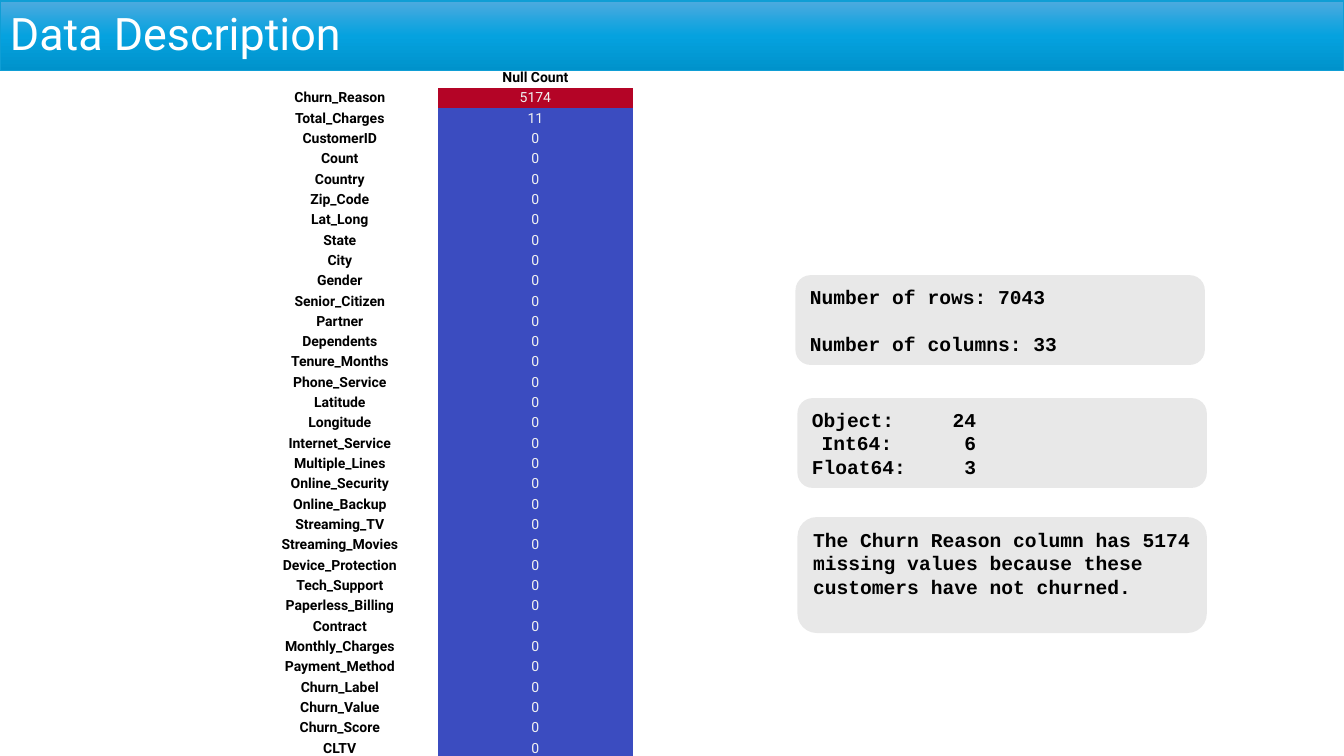
"""Build the data description slide."""
from copy import deepcopy

from pptx import Presentation
from pptx.dml.color import RGBColor
from pptx.enum.shapes import MSO_SHAPE
from pptx.enum.text import MSO_ANCHOR, MSO_AUTO_SIZE, PP_ALIGN
from pptx.oxml.ns import qn
from pptx.util import Inches, Pt
from lxml import etree

RECT = MSO_SHAPE.RECTANGLE
ROUND = MSO_SHAPE.FLOWCHART_ALTERNATE_PROCESS
MIDDLE, TOP = MSO_ANCHOR.MIDDLE, MSO_ANCHOR.TOP
LEFT, CENTER = PP_ALIGN.LEFT, PP_ALIGN.CENTER
GROW = MSO_AUTO_SIZE.SHAPE_TO_FIT_TEXT
SANS, MONO = "Roboto", "Courier New"
PLAIN = "{2D5ABB26-0587-4C30-8999-92F81FD0307C}"

COLORS = {
    "text": "000000", "white": "FFFFFF", "pale": "F1F1F1",
    "card": "E8E8E8", "edge": "0F9ED5", "high": "B40426", "low": "3B4CC0",
    "light": "4CAADF", "mid": "05A2DF", "dark": "0092CB",
}

NAMES = """Churn_Reason Total_Charges CustomerID Count Country Zip_Code
Lat_Long State City Gender Senior_Citizen Partner Dependents Tenure_Months
Phone_Service Latitude Longitude Internet_Service Multiple_Lines
Online_Security Online_Backup Streaming_TV Streaming_Movies
Device_Protection Tech_Support Paperless_Billing Contract Monthly_Charges
Payment_Method Churn_Label Churn_Value Churn_Score CLTV""".split()
NULLS = {"Churn_Reason": 5174, "Total_Charges": 11}

CARDS = [
    ((7.89, 2.73, 4.06, 0.89),
     ["Number of rows: 7043", "Number of columns: 33"], 16.8, ()),
    ((7.91, 3.95, 4.06, 0.89),
     ["Object:\t24", "\tInt64:\t6", "Float64:\t3"], 0, (0.8, 1.63)),
    ((7.91, 5.13, 4.06, 1.15),
     ["The Churn Reason column has 5174 missing values because these "
      "customers have not churned."], 0, ()),
]


def color(name):
    """Return the named colour."""
    return RGBColor.from_string(COLORS[name])


def style(para, face, size, ink, bold=False, align=LEFT):
    """Set the font and alignment of a paragraph."""
    para.alignment = align
    font = para.font
    font.name, font.size, font.bold = face, Pt(size), bold
    font.color.rgb = color(ink)


def add_tabs(para, stops):
    """Add right-aligned tab stops to a paragraph."""
    tabs = etree.SubElement(para._p.get_or_add_pPr(), qn("a:tabLst"))
    for stop in stops:
        etree.SubElement(tabs, qn("a:tab"), pos=str(Inches(stop)), algn="r")


def add_title(slide, box, text):
    """Draw the title bar with its three-step gradient."""
    bar = slide.shapes.add_shape(RECT, *map(Inches, box))
    bar.shadow.inherit = False
    bar.fill.gradient()
    bar.fill.gradient_angle = 270
    steps = bar._element.spPr.find(qn("a:gradFill")).find(qn("a:gsLst"))
    steps.insert(1, deepcopy(steps[0]))
    stops = bar.fill.gradient_stops
    for stop, spot, name in zip(stops, (0, 0.5, 1), ("light", "mid", "dark")):
        stop.position = spot
        stop.color.rgb = color(name)
    bar.line.color.rgb = color("edge")
    bar.line.width = Pt(1)
    frame = bar.text_frame
    frame.vertical_anchor = MIDDLE
    para = frame.paragraphs[0]
    para.text = text
    para.line_spacing = 0.9
    style(para, SANS, 32, "white")


def add_card(slide, box, lines, gap, stops):
    """Draw a grey rounded card with lines of monospaced text."""
    card = slide.shapes.add_shape(ROUND, *map(Inches, box))
    card.shadow.inherit = False
    card.fill.solid()
    card.fill.fore_color.rgb = color("card")
    card.line.fill.background()
    frame = card.text_frame
    frame.word_wrap = True
    frame.auto_size = GROW
    frame.vertical_anchor = TOP
    for i, line in enumerate(lines):
        para = frame.add_paragraph() if i else frame.paragraphs[0]
        para.text = line
        if i and gap:
            para.space_before = Pt(gap)
        if stops:
            add_tabs(para, stops)
        style(para, MONO, 14, "text", bold=True)


def fill_cell(cell, text, ink, bold, back=None):
    """Write one centred table cell, with a fill if one is named."""
    cell.margin_left = cell.margin_right = Inches(0.03)
    cell.margin_top = cell.margin_bottom = Inches(0.01)
    cell.vertical_anchor = MIDDLE
    if back:
        cell.fill.solid()
        cell.fill.fore_color.rgb = color(back)
    else:
        cell.fill.background()
    para = cell.text_frame.paragraphs[0]
    para.text = text
    style(para, SANS, 10, ink, bold, CENTER)


def add_counts(slide, box):
    """Draw the table of null counts per column."""
    total = len(NAMES) + 1
    table = slide.shapes.add_table(total, 2, *map(Inches, box)).table
    table.first_row = table.horz_banding = False
    table._tbl.tblPr.find(qn("a:tableStyleId")).text = PLAIN
    for row in table.rows:
        row.height = Inches(box[3] / total)
    fill_cell(table.cell(0, 0), "", "text", True)
    fill_cell(table.cell(0, 1), "Null Count", "text", True)
    for i, name in enumerate(NAMES, 1):
        count = NULLS.get(name, 0)
        back = "high" if count > 1000 else "low"
        fill_cell(table.cell(i, 0), name, "text", True)
        fill_cell(table.cell(i, 1), str(count), "pale", False, back)


def main():
    """Build and save the slide."""
    deck = Presentation()
    deck.slide_width, deck.slide_height = Inches(13.33), Inches(7.5)
    slide = deck.slides.add_slide(deck.slide_layouts[6])
    add_title(slide, (0, 0.01, 13.33, 0.69), "Data Description")
    for card in CARDS:
        add_card(slide, *card)
    add_counts(slide, (2.4, 0.67, 3.88, 6.86))
    deck.save("out.pptx")


if __name__ == "__main__":
    main()
